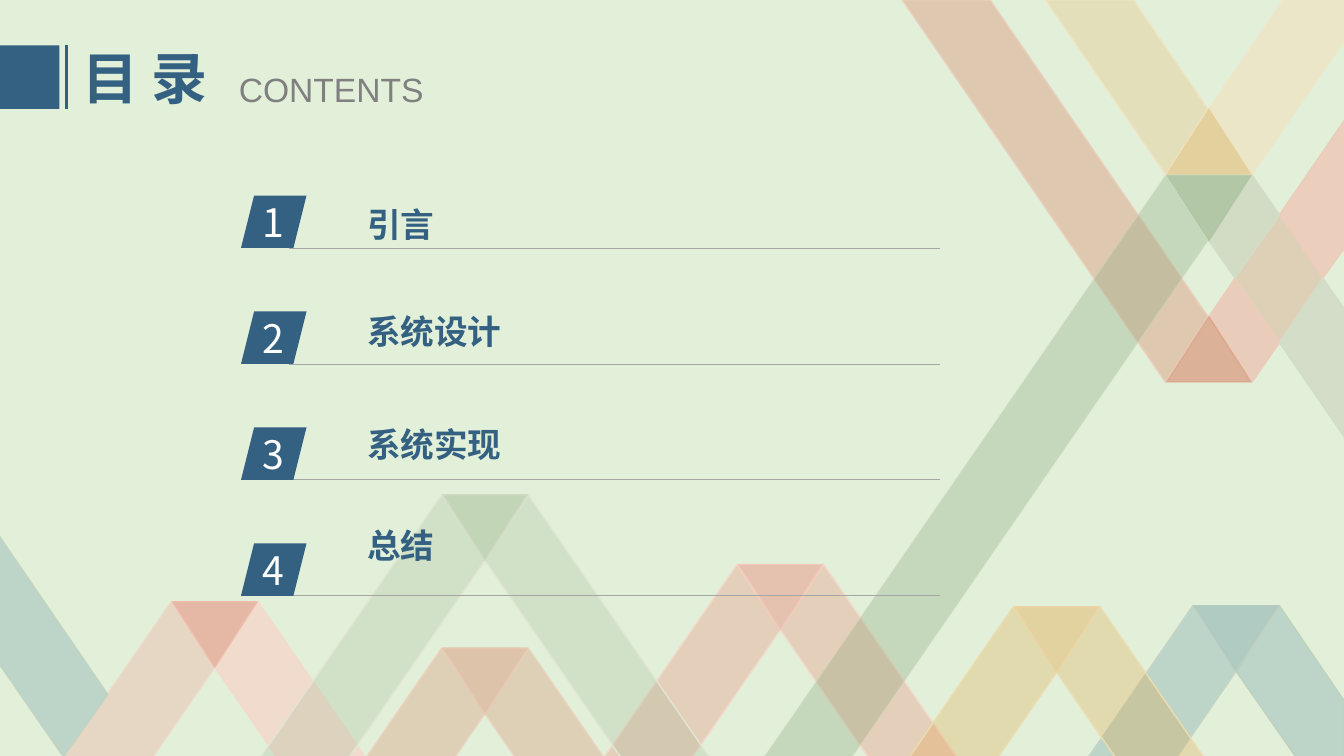
from pptx import Presentation
from pptx import util as u
from pptx.dml.color import RGBColor
from pptx.enum import shapes, text
from pptx.oxml import ns, xmlchemy

WIDTH, HEIGHT = 13.33, 7.5
NAVY, GREY, RULE, WHITE = "346182", "808080", "A6A6A6", "FFFFFF"
CJK, LATIN = "Noto Sans CJK SC", "Arial"

# Ribbon geometry: half the width of a fold, its depth, and run per unit of drop
HALF, DEPTH, SLOPE = 0.43, 0.65, 0.69

# List grid
ROW_TOP, ROW_PITCH, ROW_HEIGHT = 1.94, 1.15, 0.52
BADGE_LEFT, BADGE_WIDTH, RULE_LEFT, RULE_RIGHT = 2.39, 0.65, 2.87, 9.32
# Each entry with the space before it in points
ENTRIES = [("引言", 0), ("系统设计", 47.5), ("系统实现", 52.5), ("总结", 43)]

# Fold centre, top, bottom, then (fill, opacity, outline) of left leg, right leg, crest
PEAKS = [
    (2.13, 5.97, 7.54, ("EE8F82", 25, "EED9C6"), ("F1DBCC", 100, "F1DBCC"),
     ("ED5249", 35, "EFBBAB")),
    (7.74, 5.6, 7.54, ("ED6F65", 25, "F1DBCC"), ("ED6F65", 25, "F1DBCC"),
     ("ED6F65", 35, "F2C7BA")),
    (4.81, 4.91, 7.55, ("A2B894", 25, "E0E6D3"), ("A2B894", 25, "E0E6D3"),
     ("89A67A", 35, "CFDAC2")),
    (4.81, 6.43, 7.54, ("D57053", 25, "EAD3BF"), ("D57053", 25, "EAD3BF"),
     ("D57053", 35, "E6C6B1")),
    (12.26, 6.01, 7.52, ("508799", 25, "C4D5C6"), None,
     ("508799", 35, "B5CAC1")),
    (10.48, 6.02, 7.55, ("E49B35", 25, "EBDCB0"), ("E49B35", 25, "EBDCB2"),
     ("E49B35", 35, "EBD3A3")),
]

# Folds of the upper ribbons: base height, direction of the tip, style, outline opacity
KNOT_CENTRE = 11.99
KNOTS = [
    (3.79, -1, ("D57053", 49, "DF9B83", 49)),
    (1.73, -1, ("E49B35", 36, "EBD09D", 36)),
    (1.74, 1, ("88A378", 53, "B3C4A5", 53)),
]

# Ribbons that cross or run off the slide
BANDS = [
    ([(10.37, 0), (11.24, 0), (11.98, 1.08), (11.56, 1.73)], ("E7B05E", 25, "EFE3C2")),
    ([(12.73, 0), (13.35, 0), (13.35, 0.38), (12.42, 1.73), (11.99, 1.08)],
     ("EFE3C2", 71, "EEE6C8")),
    ([(12.69, 2.13), (13.12, 2.76), (12.69, 3.4), (12.25, 2.76)], ("D57053", 25, "EAD3BE")),
    ([(13.35, 1.17), (13.35, 2.44), (13.12, 2.76), (12.69, 2.13)],
     ("EBCEBC", 100, "EACDBA")),
    ([(12.42, 1.74), (12.69, 2.13), (12.25, 2.76), (11.99, 2.39)],
     ("D2DBC4", 100, "D3DDC7")),
    ([(12.25, 2.76), (12.69, 3.4), (12.42, 3.79), (11.99, 3.14)],
     ("E9CCBA", 100, "EACDBB")),
    ([(13.12, 2.76), (13.35, 3.09), (13.35, 4.36), (12.69, 3.4)],
     ("D3DDC7", 100, "D3DCC6")),
    ([(-0.04, 5.27), (1.07, 6.89), (0.63, 7.51), (-0.04, 6.54)], ("508799", 25, "C3D4C3")),
    ([(12.69, 6.01), (13.33, 6.95), (13.33, 7.52), (12.86, 7.52), (12.26, 6.66)],
     ("508799", 25, "BFD1BD")),
    ([(8.95, 0), (9.82, 0), (11.98, 3.14), (11.56, 3.79)], ("D57053", 30, "EACEBC")),
    ([(11.56, 1.74), (11.98, 2.39), (8.43, 7.54), (7.56, 7.54)],
     ("88A378", 30, "D3DCC5", 30)),
]


def colour(value):
    return RGBColor.from_string(value)


def inches(*lengths):
    return [u.Inches(length) for length in lengths]


def assign(target, values):
    for name, value in values.items():
        setattr(target, name, value)


def set_opacity(fill_parent, percent):
    """Make the solid colour under an XML element partly transparent."""
    if percent < 100:
        solid = fill_parent.find(ns.qn("a:solidFill"))
        alpha = xmlchemy.OxmlElement("a:alpha")
        alpha.set("val", str(percent * 1000))
        solid[0].append(alpha)


def add_polygon(page, points, fill, opacity, outline, outline_opacity=100):
    corners = [tuple(inches(*point)) for point in points]
    builder = page.shapes.build_freeform(*corners[0], scale=1.0)
    builder.add_line_segments(corners[1:], close=True)
    ribbon = builder.convert_to_shape()
    ribbon.shadow.inherit = False
    ribbon.fill.solid()
    ribbon.fill.fore_color.rgb = colour(fill)
    ribbon.line.color.rgb = colour(outline)
    ribbon.line.width = u.Pt(1)
    properties = ribbon.element.spPr
    set_opacity(properties, opacity)
    set_opacity(properties.find(ns.qn("a:ln")), outline_opacity)


def add_fold(page, centre, base, direction, style):
    half = HALF - 0.01
    add_polygon(page, [(centre - half, base), (centre + half, base),
                       (centre, base + direction * DEPTH)], *style)


def add_leg(page, centre, top, bottom, side, style):
    """Draw the ribbon falling from a fold; side is -1 for left and 1 for right."""
    outer, knee = centre + side * HALF, top + DEPTH
    add_polygon(page, [(outer, top), (centre, knee),
                       (centre + side * SLOPE * (bottom - knee), bottom),
                       (outer + side * SLOPE * (bottom - top), bottom)], *style)


def add_ribbons(page):
    for centre, top, bottom, left, right, crest in PEAKS:
        for side, style in ((-1, left), (1, right)):
            if style:
                add_leg(page, centre, top, bottom, side, style)
        add_fold(page, centre, top, 1, crest)
    for points, style in BANDS:
        add_polygon(page, points, *style)
    for base, direction, style in KNOTS:
        add_fold(page, KNOT_CENTRE, base, direction, style)


def add_block(parent, kind, *place):
    block = parent.shapes.add_shape(kind, *inches(*place))
    block.shadow.inherit = False
    block.fill.solid()
    block.fill.fore_color.rgb = colour(NAVY)
    block.line.fill.background()


def add_rule(parent, start, end, tint, width):
    rule = parent.shapes.add_connector(shapes.MSO_CONNECTOR.STRAIGHT, *inches(*start, *end))
    rule.line.color.rgb = colour(tint)
    rule.line.width = u.Pt(width)
    rule.element.spPr.append(xmlchemy.OxmlElement("a:effectLst"))


def write(para, words, size, tint, font=CJK, bold=False, align=text.PP_ALIGN.LEFT):
    para.alignment = align
    span = para.add_run()
    span.text = words
    assign(span.font, {"size": u.Pt(size), "name": font, "bold": bold})
    span.font.color.rgb = colour(tint)
    east_asian = xmlchemy.OxmlElement("a:ea")
    east_asian.set("typeface", font)
    span.font._element.find(ns.qn("a:latin")).addnext(east_asian)


def add_label(parent, place, words, **style):
    box = parent.shapes.add_textbox(*inches(*place))
    box.text_frame.word_wrap = True
    write(box.text_frame.paragraphs[0], words, **style)


def place_holder(holder, place, anchor):
    """Position a placeholder and bring it in front of the ribbons."""
    assign(holder, dict(zip(("left", "top", "width", "height"), inches(*place))))
    assign(holder.text_frame, {"vertical_anchor": anchor, "word_wrap": True,
                               "auto_size": text.MSO_AUTO_SIZE.NONE})
    holder.element.getparent().append(holder.element)


def add_header(page):
    top, bottom = 0.45, 1.08
    add_block(page, shapes.MSO_SHAPE.RECTANGLE, 0, top, 0.59, bottom - top)
    add_rule(page, (0.66, top), (0.66, bottom), NAVY, 2.25)
    title = page.shapes.title
    place_holder(title, (0.72, 0.38, 1.54, 0.77), text.MSO_ANCHOR.MIDDLE)
    write(title.text_frame.paragraphs[0], "目 录", 40, NAVY, bold=True)
    add_label(page, (2.27, 0.63, 2.5, 0.5), "CONTENTS", size=24, tint=GREY, font=LATIN)


def add_badge(page, number):
    group = page.shapes.add_group_shape()
    top = ROW_TOP + (number - 1) * ROW_PITCH
    bottom = top + ROW_HEIGHT
    add_rule(group, (RULE_LEFT, bottom), (RULE_RIGHT, bottom), RULE, 0.5)
    add_block(group, shapes.MSO_SHAPE.PARALLELOGRAM, BADGE_LEFT, top, BADGE_WIDTH, ROW_HEIGHT)
    add_label(group, (BADGE_LEFT + 0.01, top - 0.02, 0.63, 0.57), str(number),
              size=28, tint=WHITE, align=text.PP_ALIGN.CENTER)


def add_list(page):
    body = page.placeholders[1]
    place_holder(body, (3.54, 1.97, RULE_RIGHT - 3.54, 3.94), text.MSO_ANCHOR.TOP)
    frame = body.text_frame
    for number, (words, gap) in enumerate(ENTRIES, 1):
        add_badge(page, number)
        para = frame.paragraphs[0] if number == 1 else frame.add_paragraph()
        assign(para, {"space_before": u.Pt(gap), "space_after": u.Pt(0), "line_spacing": 1.0})
        write(para, words, 24, NAVY, bold=True)
        layout = para._p.get_or_add_pPr()
        layout.set("marL", "0")
        layout.set("indent", "0")
        layout.append(xmlchemy.OxmlElement("a:buNone"))


def main():
    deck = Presentation()
    assign(deck, {"slide_width": u.Inches(WIDTH), "slide_height": u.Inches(HEIGHT)})
    page = deck.slides.add_slide(deck.slide_layouts[1])
    page.background.fill.solid()
    page.background.fill.fore_color.rgb = colour("E2F0D9")
    add_ribbons(page)
    add_header(page)
    add_list(page)
    deck.save("out.pptx")


if __name__ == "__main__":
    main()
